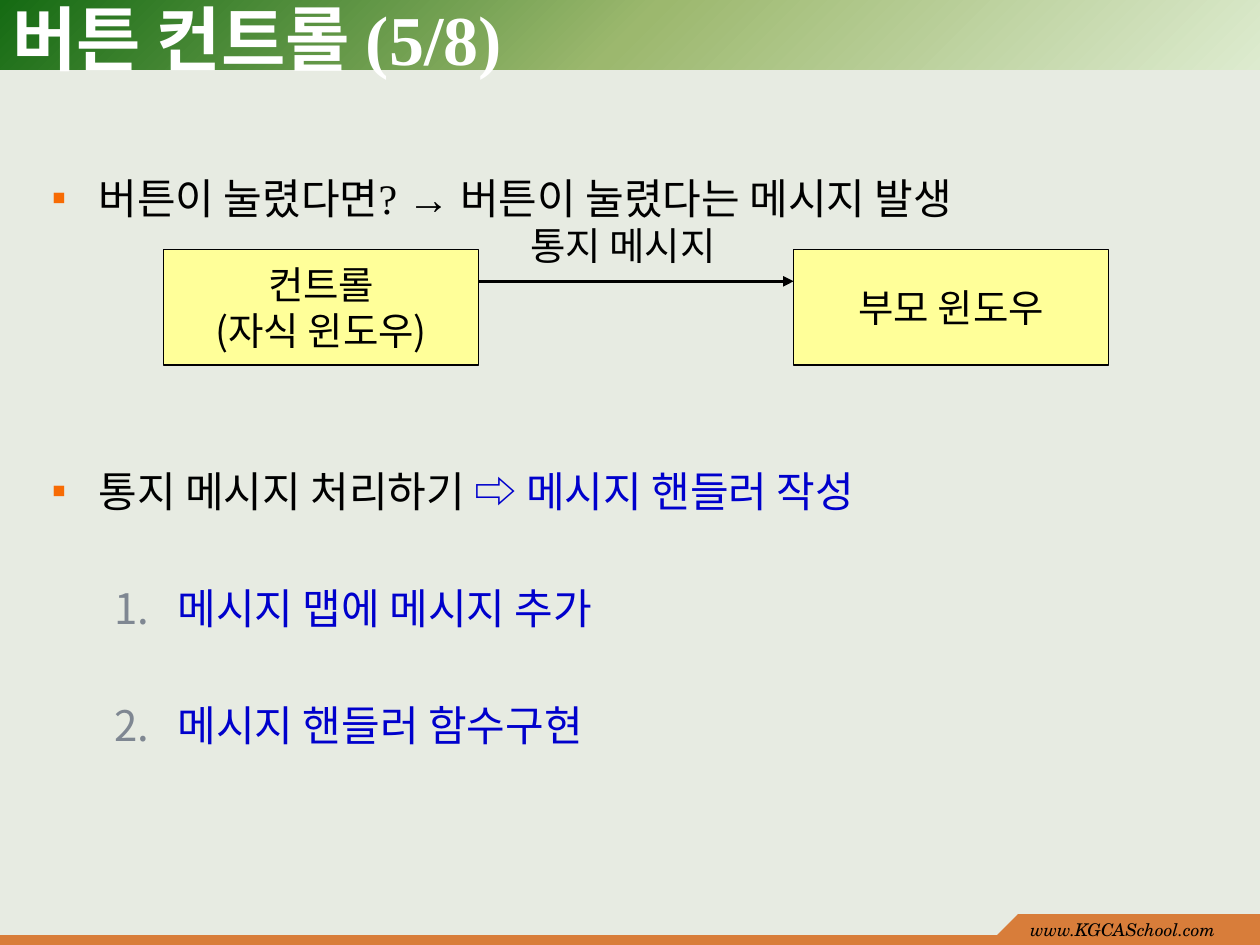
from lxml import etree
from pptx import Presentation
from pptx.dml.color import RGBColor
from pptx.enum.shapes import MSO_CONNECTOR as Link, MSO_SHAPE as Shape
from pptx.enum.text import MSO_ANCHOR as Anchor, PP_ALIGN as Align
from pptx.oxml import parse_xml
from pptx.oxml.ns import nsdecls, qn
from pptx.util import Cm, Pt

SERIF = "Times New Roman"
KOREAN = "Noto Sans CJK KR"
FOOTER_FONT = "TeX Gyre Schola"
BLACK, WHITE, BLUE = "000000", "FFFFFF", "0000CC"
ORANGE, GRAY, YELLOW, BRONZE = "F76B04", "7F8792", "FFFF99", "D87D3A"


def color(value):
    return RGBColor.from_string(value)


def add_text(para, text, size=24, font=SERIF, ink=BLACK, bold=False, italic=False):
    span = para.add_run()
    span.text = text
    span.font.size, span.font.name = Pt(size), font
    span.font.bold, span.font.italic = bold, italic
    span.font.color.rgb = color(ink)
    east_asian = etree.SubElement(span.font._element, qn("a:ea"))
    east_asian.set("typeface", KOREAN)


def add_text_box(page, left, top, width, height, anchor=Anchor.TOP, wrap=True):
    box = page.shapes.add_textbox(Cm(left), Cm(top), Cm(width), Cm(height))
    box.text_frame.word_wrap = wrap
    box.text_frame.vertical_anchor = anchor
    return box.text_frame


def add_rectangle(page, left, top, width, height, fill, line=None):
    box = page.shapes.add_shape(Shape.RECTANGLE, Cm(left), Cm(top), Cm(width), Cm(height))
    box.shadow.inherit = False
    box.fill.solid()
    box.fill.fore_color.rgb = color(fill)
    if line:
        box.line.color.rgb = color(line)
        box.line.width = Pt(0.75)
    else:
        box.line.fill.background()
    return box


def fill_from_corner(box, stops):
    """Give the box a round gradient that starts in its lower right corner."""
    marks = "".join(
        f'<a:gs pos="{place * 1000}"><a:srgbClr val="{value}"/></a:gs>' for place, value in stops)
    gradient = parse_xml(
        f'<a:gradFill {nsdecls("a")} rotWithShape="1"><a:gsLst>{marks}</a:gsLst>'
        '<a:path path="circle"><a:fillToRect l="100000" t="100000"/></a:path></a:gradFill>')
    solid = box._element.spPr.find(qn("a:solidFill"))
    solid.getparent().replace(solid, gradient)


def add_header(page, left, top, width, height):
    band = add_rectangle(page, left, top, width, height, WHITE)
    fill_from_corner(band, [(0, "DDEBCF"), (50, "9CB86E"), (100, "156B13")])
    title = add_text_box(page, left, top + 0.03, width - 1.58, height + 0.05, Anchor.MIDDLE)
    add_text(title.paragraphs[0], "버튼 컨트롤 (5/8)", size=40, ink=WHITE, bold=True)


def add_footer(page, left, top, width, height):
    strip, tab_width = 0.2, 4.88
    tab_height = height - strip
    tab_left, base = left + width - tab_width, top + tab_height
    add_rectangle(page, left, base, width, strip, BRONZE)
    add_rectangle(page, tab_left, top, tab_width, tab_height, BRONZE)
    outline = page.shapes.build_freeform(Cm(tab_left - tab_height), Cm(base))
    outline.add_line_segments([(Cm(tab_left), Cm(base)), (Cm(tab_left), Cm(top))])
    slope = outline.convert_to_shape()
    slope.shadow.inherit = False
    slope.fill.solid()
    slope.fill.fore_color.rgb = color(BRONZE)
    slope.line.fill.background()
    address = add_text_box(page, tab_left, top - 0.02, tab_width, height + 0.01)
    add_text(address.paragraphs[0], "www.KGCASchool.com", size=10,
             font=FOOTER_FONT, italic=True)


def add_bullet(para, tag, attribute, value, ink, font, margin, indent):
    props = para._p.get_or_add_pPr()
    props.set("marL", str(Cm(margin)))
    props.set("indent", str(-Cm(indent)))
    tint = etree.SubElement(props, qn("a:buClr"))
    etree.SubElement(tint, qn("a:srgbClr")).set("val", ink)
    etree.SubElement(props, qn("a:buFont")).set("typeface", font)
    etree.SubElement(props, qn(tag)).set(attribute, value)


def add_outline(page, left, top, width, height):
    frame = add_text_box(page, left, top, width, height)
    square = ("a:buChar", "char", "▪", ORANGE, SERIF, 0.95, 0.95)
    number = ("a:buAutoNum", "type", "arabicPeriod", GRAY, KOREAN, 2.54, 1.27)
    items = [
        (square, 0, [("버튼이 눌렸다면? → 버튼이 눌렸다는 메시지 발생", BLACK)]),
        (square, 139.4, [("통지 메시지 처리하기 ", BLACK), ("⇨ 메시지 핸들러 작성", BLUE)]),
        (number, 39, [("메시지 맵에 메시지 추가", BLUE)]),
        (number, 39, [("메시지 핸들러 함수구현", BLUE)]),
    ]
    for index, (bullet, gap, spans) in enumerate(items):
        para = frame.add_paragraph() if index else frame.paragraphs[0]
        add_bullet(para, *bullet)
        if bullet is number:
            para.level = 1
        para.line_spacing = Pt(28)
        para.space_before = Pt(gap)
        for text, ink in spans:
            add_text(para, text, ink=ink)


def add_window(page, left, top, width, height, lines):
    frame = add_rectangle(page, left, top, width, height, YELLOW, BLACK).text_frame
    frame.word_wrap = False
    frame.vertical_anchor = Anchor.MIDDLE
    for index, text in enumerate(lines):
        para = frame.add_paragraph() if index else frame.paragraphs[0]
        para.alignment = Align.CENTER
        add_text(para, text, size=22, font=KOREAN)


def add_arrow(page, start, end, level):
    arrow = page.shapes.add_connector(Link.STRAIGHT, Cm(start), Cm(level), Cm(end), Cm(level))
    arrow.line.color.rgb = color(BLACK)
    arrow.line.width = Pt(2)
    etree.SubElement(arrow.line._get_or_add_ln(), qn("a:tailEnd")).set("type", "triangle")
    etree.SubElement(arrow._element.spPr, qn("a:effectLst"))


def add_message_diagram(page, left, top, width, height):
    """Two windows, each a third of the width, with the message between them."""
    third = width / 3
    add_window(page, left, top, third, height, ["컨트롤", "(자식 윈도우)"])
    add_window(page, left + 2 * third, top, third, height, ["부모 윈도우"])
    add_arrow(page, left + third, left + 2 * third, top + 0.64)
    label = add_text_box(page, left + third + 0.79, top - 0.63, 5.92, 1.07,
                         Anchor.MIDDLE, wrap=False)
    add_text(label.paragraphs[0], "통지 메시지", size=22, font=KOREAN)


def main():
    deck = Presentation()
    deck.slide_width, deck.slide_height = Cm(25.4), Cm(19.05)
    page = deck.slides.add_slide(deck.slide_layouts[6])
    page.background.fill.solid()
    page.background.fill.fore_color.rgb = color("E7EBE2")
    add_header(page, 0, 0, 25.4, 1.4)
    add_footer(page, 0, 18.43, 25.4, 0.62)
    add_outline(page, 0.79, 3.38, 23.83, 15.09)
    add_message_diagram(page, 3.3, 5.03, 19.05, 2.33)
    deck.save("out.pptx")


if __name__ == "__main__":
    main()
